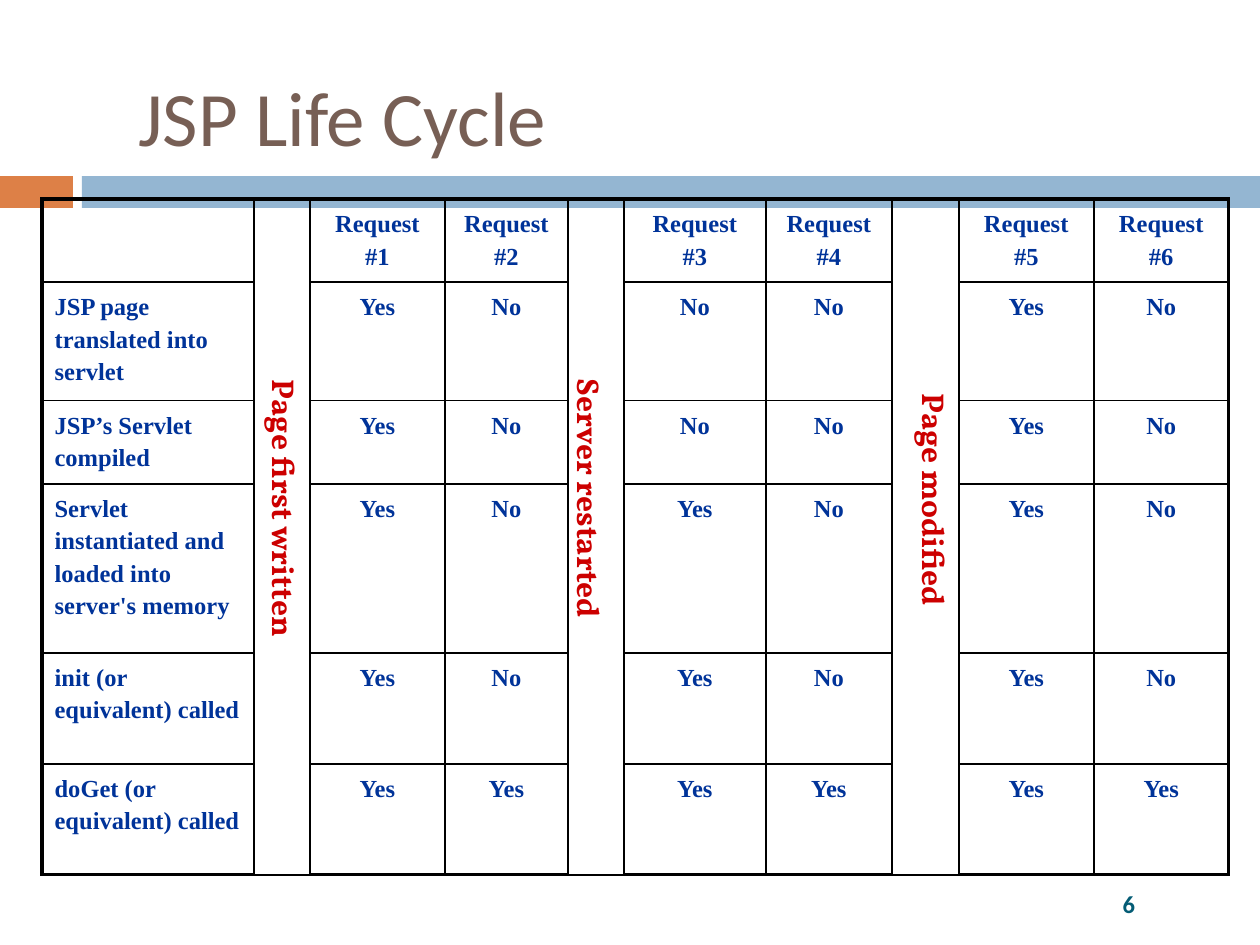
from copy import deepcopy

from lxml import etree
from pptx import Presentation
from pptx.dml.color import RGBColor
from pptx.enum.shapes import MSO_SHAPE as Shape
from pptx.enum.text import MSO_ANCHOR as Anchor, PP_ALIGN as Align
from pptx.oxml.ns import qn
from pptx.util import Emu, Pt

PX = 914400 / 126

TITLE = {"name": "Calibri", "size": Pt(44), "bold": False, "color": "775F55"}
NUMBER = {"name": "Calibri", "size": Pt(14), "bold": True, "color": "045C75"}
CELL = {"name": "Times New Roman", "size": Pt(14), "bold": True, "color": "003399"}
EVENT = {"name": "Vollkorn", "size": Pt(18), "bold": True, "color": "CC0000"}

COLUMNS = [212, 56, 135, 123, 56, 142, 126, 67, 135, 135]
ROWS = [63, 84, 67, 169, 111, 111]
EVENT_COLUMNS = [1, 4, 7]
REQUEST_COLUMNS = [2, 3, 5, 6, 8, 9]
STEPS = [
    ("JSP page translated into servlet", "Yes No No No Yes No"),
    ("JSP’s Servlet compiled", "Yes No No No Yes No"),
    ("Servlet instantiated and loaded into server's memory", "Yes No Yes No Yes No"),
    ("init (or equivalent) called", "Yes No Yes No Yes No"),
    ("doGet (or equivalent) called", "Yes Yes Yes Yes Yes Yes"),
]
EVENTS = [
    ("Page first written", 78, 457),
    ("Server restarted", 383, 447),
    ("Page modified", 728, 448),
]


def px(length):
    return Emu(round(length * PX))


def color(value):
    return RGBColor.from_string(value)


def write(para, text, style, align=Align.LEFT, spacing=1.0):
    para.text = text
    para.alignment = align
    para.line_spacing = spacing
    for span in para.runs:
        for key, value in style.items():
            if key == "color":
                span.font.color.rgb = color(value)
            else:
                setattr(span.font, key, value)
    # A line break takes the format of the text before it
    for line_break in para._p.findall(qn("a:br")):
        line_break.append(deepcopy(para.runs[0]._r.rPr))


def add_bar(page, left, width, fill):
    bar = page.shapes.add_shape(Shape.RECTANGLE, px(left), px(176), px(width), px(32))
    bar.shadow.inherit = False
    bar.fill.solid()
    bar.fill.fore_color.rgb = color(fill)
    bar.line.fill.background()


def add_text(page, bounds, text, style, align=Align.LEFT, anchor=Anchor.MIDDLE,
             spacing=1.0, rotation=0):
    box = page.shapes.add_textbox(*map(px, bounds))
    box.rotation = rotation
    frame = box.text_frame
    frame.word_wrap = True
    frame.vertical_anchor = anchor
    write(frame.paragraphs[0], text, style, align, spacing)


def set_borders(cell, widths):
    props = cell._tc.get_or_add_tcPr()
    for side, width in zip("LRTB", widths):
        line = etree.SubElement(props, qn(f"a:ln{side}"), w=str(Pt(width)))
        fill = etree.SubElement(line, qn("a:solidFill"))
        etree.SubElement(fill, qn("a:srgbClr"), val="000000")


def fill_cell(cell, text, align=Align.CENTER):
    para = cell.text_frame.paragraphs[0]
    write(para, text, CELL, align, 1.2)
    para.space_before = Pt(1.4)


def add_cycle_table(page):
    frame = page.shapes.add_table(len(ROWS), len(COLUMNS), px(42), px(199),
                                  px(sum(COLUMNS)), px(sum(ROWS)))
    table = frame.table
    table.first_row = table.horz_banding = False
    for column, width in zip(table.columns, COLUMNS):
        column.width = px(width)
    for row, height in zip(table.rows, ROWS):
        row.height = px(height)

    # Thick outer frame, thin inner grid
    last_row, last_column = len(ROWS) - 1, len(COLUMNS) - 1
    for r in range(len(ROWS)):
        for c in range(len(COLUMNS)):
            outer = (c == 0, c == last_column, r == 0, r == last_row)
            cell = table.cell(r, c)
            set_borders(cell, [2.25 if edge else 1 for edge in outer])
            cell.fill.background()
    for c in EVENT_COLUMNS:
        table.cell(0, c).merge(table.cell(last_row, c))

    # Requests across, steps down
    for number, c in enumerate(REQUEST_COLUMNS, 1):
        fill_cell(table.cell(0, c), f"Request\n#{number}")
    for r, (step, answers) in enumerate(STEPS, 1):
        fill_cell(table.cell(r, 0), step, Align.LEFT)
        for c, answer in zip(REQUEST_COLUMNS, answers.split()):
            fill_cell(table.cell(r, c), answer)


def main():
    deck = Presentation()
    deck.slide_width, deck.slide_height = px(1260), px(945)
    page = deck.slides.add_slide(deck.slide_layouts[6])

    # Heading and bars
    add_bar(page, 0, 73, "DD8047")
    add_bar(page, 82, 1178, "94B6D2")
    add_text(page, (126, 53, 998, 125), "JSP Life Cycle", TITLE)

    add_cycle_table(page)

    # Page number
    add_text(page, (998, 872, 262, 63), "6", NUMBER, Align.CENTER)

    # Events between the requests
    for text, left, top in EVENTS:
        add_text(page, (left, top, 368, 103), text, EVENT, Align.CENTER,
                 Anchor.TOP, 1.1, 90)

    deck.save("out.pptx")


if __name__ == "__main__":
    main()
